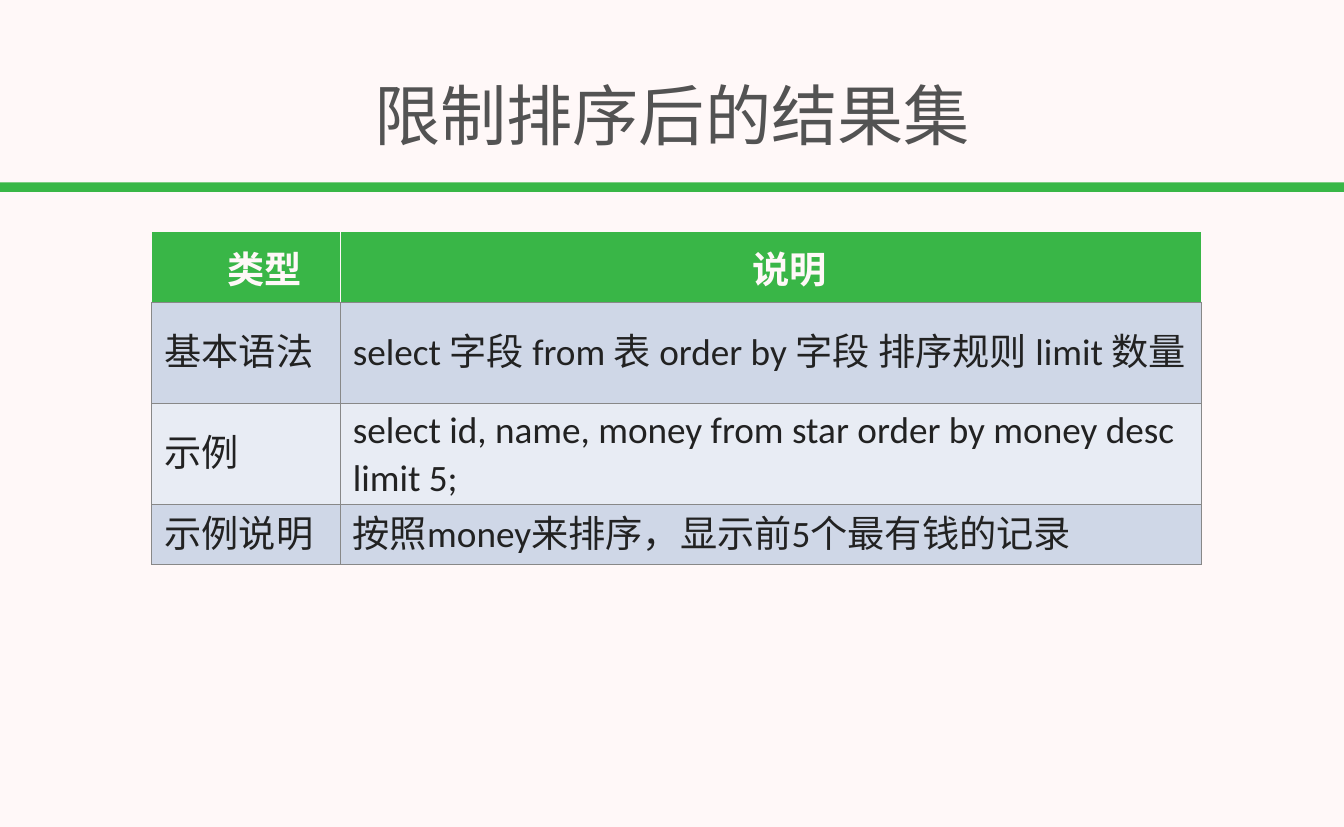
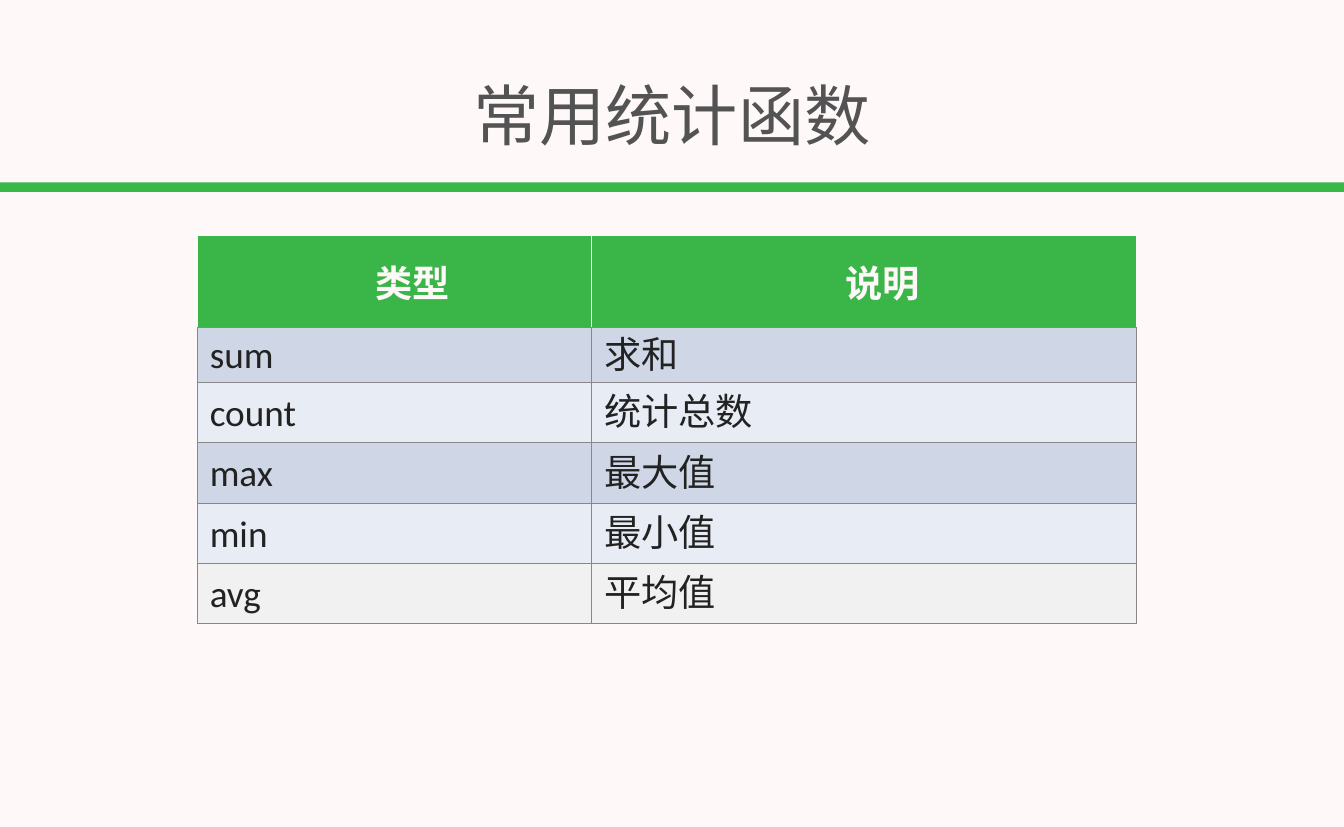
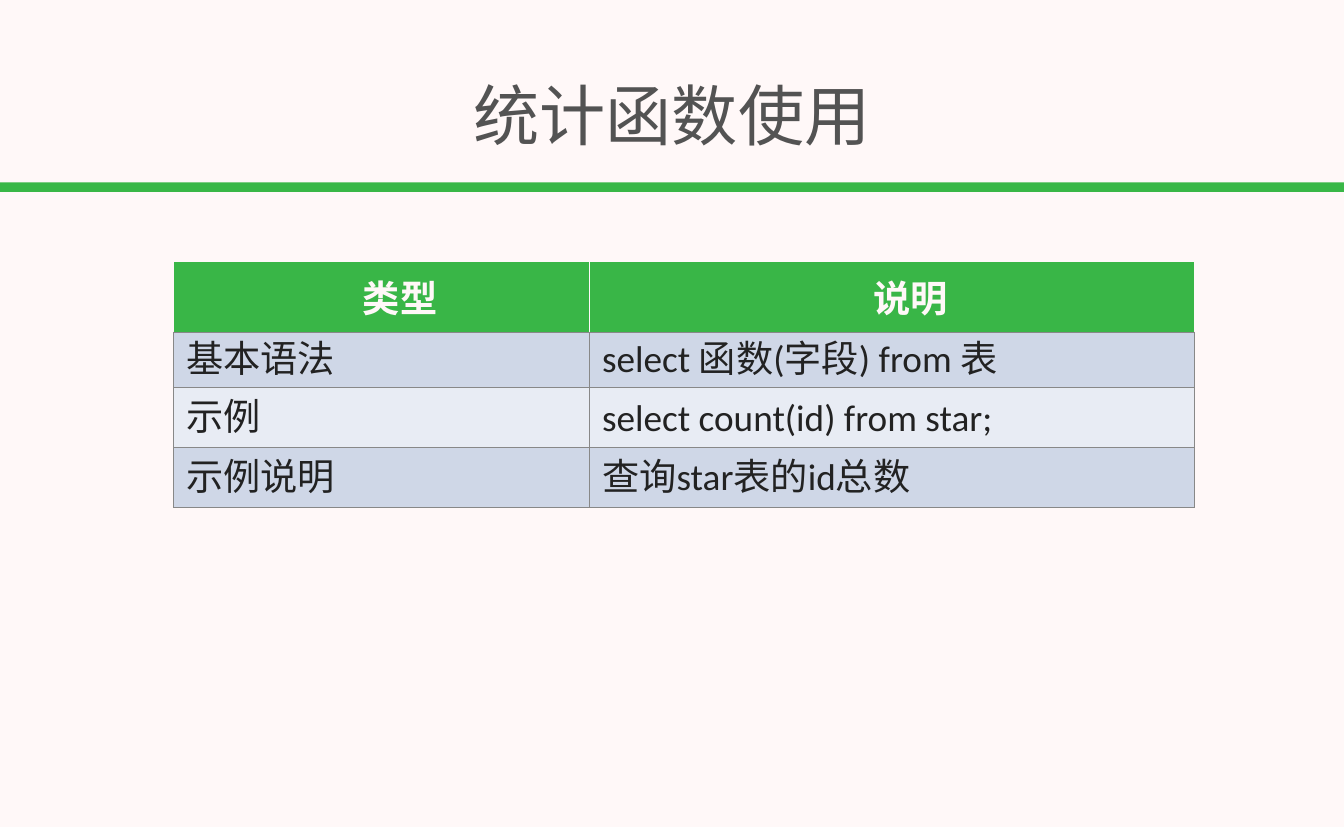
"""Builds three slides on SQL result limits and aggregate functions."""
import itertools

import lxml.etree
import pptx
import pptx.dml.color
import pptx.enum.shapes
import pptx.enum.text
import pptx.oxml.ns
import pptx.util

Cm = pptx.util.Cm
Pt = pptx.util.Pt
RGBColor = pptx.dml.color.RGBColor
ALIGN = pptx.enum.text.PP_ALIGN
MIDDLE = pptx.enum.text.MSO_ANCHOR.MIDDLE

PAPER = RGBColor(0xFF, 0xF8, 0xF8)
BAND_GREEN = RGBColor(0x39, 0xB7, 0x47)
HEADER_GREEN = RGBColor(0x39, 0xB6, 0x47)
TITLE_GREY = RGBColor(0x53, 0x53, 0x53)
INK = RGBColor(0x22, 0x22, 0x22)
GRID_GREY = RGBColor(0x88, 0x88, 0x88)
ROW_FILLS = (
    RGBColor(0xCF, 0xD7, 0xE7),
    RGBColor(0xE8, 0xEC, 0xF4),
    RGBColor(0xCF, 0xD7, 0xE7),
    RGBColor(0xE8, 0xEC, 0xF4),
    RGBColor(0xF1, 0xF1, 0xF1),
)

WIDTH, HEIGHT = Cm(45.87), Cm(28.22)
HEADER = ("类型", "说明")
FIRST_ROW, NEXT_ROW = Cm(1.88), Cm(2.06)


def apply(target, values):
    for name, value in values.items():
        setattr(target, name, value)


def margins(across, down):
    return {
        "margin_left": across,
        "margin_right": across,
        "margin_top": down,
        "margin_bottom": down,
    }


class Deck:
    """Holds the shared style and the slide being filled."""

    title_font = {"name": "Calibri", "size": Pt(64)}
    header_font = {"name": "Calibri", "size": Pt(36), "bold": True}
    body_font = {"name": "Calibri", "size": Pt(36), "bold": False}
    title_frame = {"word_wrap": True, "vertical_anchor": MIDDLE, **margins(Cm(0.13), Cm(0.13))}
    header_cell = {"vertical_anchor": MIDDLE, **margins(0, 0)}
    body_cell = {"vertical_anchor": MIDDLE, **margins(Cm(0.43), Cm(0.1))}
    header_paragraph = {"alignment": ALIGN.CENTER}
    body_paragraph = {"alignment": ALIGN.LEFT, "line_spacing": Pt(46)}
    header_edges = {"lnL": PAPER, "lnR": PAPER, "lnT": PAPER, "lnB": GRID_GREY}
    body_edges = dict.fromkeys(header_edges, GRID_GREY)

    def __init__(self):
        self.presentation = pptx.Presentation()
        apply(self.presentation, {"slide_width": WIDTH, "slide_height": HEIGHT})
        self.slide = None

    def add_slide(self, title):
        self.slide = self.presentation.slides.add_slide(self.presentation.slide_layouts[6])
        background = self.slide.background.fill
        background.solid()
        background.fore_color.rgb = PAPER
        self.add_band()
        self.add_title(title)

    def add_band(self):
        band = self.slide.shapes.add_shape(
            pptx.enum.shapes.MSO_SHAPE.RECTANGLE, 0, Cm(6.22), WIDTH, Cm(0.33))
        band.shadow.inherit = False
        band.fill.solid()
        band.fill.fore_color.rgb = BAND_GREEN
        band.line.fill.background()

    def add_title(self, text):
        frame = self.slide.shapes.add_textbox(
            Cm(0.13), Cm(2.08), WIDTH - Cm(0.26), Cm(3.61)).text_frame
        apply(frame, self.title_frame)
        self.set_text(frame, text, self.title_font, TITLE_GREY, self.header_paragraph)

    def set_text(self, frame, text, font, color, layout):
        paragraph = frame.paragraphs[0]
        apply(paragraph, layout)
        run = paragraph.add_run()
        run.text = text
        apply(run.font, font)
        run.font.color.rgb = color
        return paragraph

    def add_table(self, left, top, widths, header_height, rows):
        heights = [header_height, FIRST_ROW] + [NEXT_ROW] * (len(rows) - 1)
        table = self.slide.shapes.add_table(
            len(heights), len(widths), left, top, sum(widths), sum(heights)).table
        for column, width in zip(table.columns, widths):
            column.width = width
        for row, height in zip(table.rows, heights):
            row.height = height
        for cell, text in zip(table.rows[0].cells, HEADER):
            self.dress(cell, self.header_cell, self.header_edges, HEADER_GREEN)
            paragraph = self.set_text(
                cell.text_frame, text, self.header_font, PAPER, self.header_paragraph)
            paragraph._p.get_or_add_pPr().set("indent", str(Cm(1.27)))
        for row, texts, fill in zip(itertools.islice(table.rows, 1, None), rows, ROW_FILLS):
            for cell, text in zip(row.cells, texts):
                self.dress(cell, self.body_cell, self.body_edges, fill)
                self.set_text(cell.text_frame, text, self.body_font, INK, self.body_paragraph)

    def dress(self, cell, layout, edges, fill):
        apply(cell, layout)
        properties = cell._tc.get_or_add_tcPr()
        qn = pptx.oxml.ns.qn
        for edge, color in edges.items():
            line = lxml.etree.SubElement(properties, qn(f"a:{edge}"), w=str(Pt(1)))
            solid = lxml.etree.SubElement(line, qn("a:solidFill"))
            lxml.etree.SubElement(solid, qn("a:srgbClr"), val=str(color))
        cell.fill.solid()
        cell.fill.fore_color.rgb = fill


deck = Deck()

deck.add_slide("限制排序后的结果集")
deck.add_table(Cm(5.18), Cm(7.9), (Cm(6.43), Cm(29.41)), Cm(2.41), (
    ("基本语法", "select 字段 from 表 order by 字段 排序规则 limit 数量"),
    ("示例", "select id, name, money from star order by money desc limit 5;"),
    ("示例说明", "按照money来排序，显示前5个最有钱的记录"),
))

deck.add_slide("常用统计函数")
deck.add_table(Cm(6.73), Cm(8.05), (Cm(13.46), Cm(18.59)), Cm(3.12), (
    ("sum", "求和"),
    ("count", "统计总数"),
    ("max", "最大值"),
    ("min", "最小值"),
    ("avg", "平均值"),
))

deck.add_slide("统计函数使用")
deck.add_table(Cm(5.92), Cm(8.92), (Cm(14.2), Cm(20.65)), Cm(2.41), (
    ("基本语法", "select 函数(字段) from 表"),
    ("示例", "select count(id) from star;"),
    ("示例说明", "查询star表的id总数"),
))

deck.presentation.save("out.pptx")
